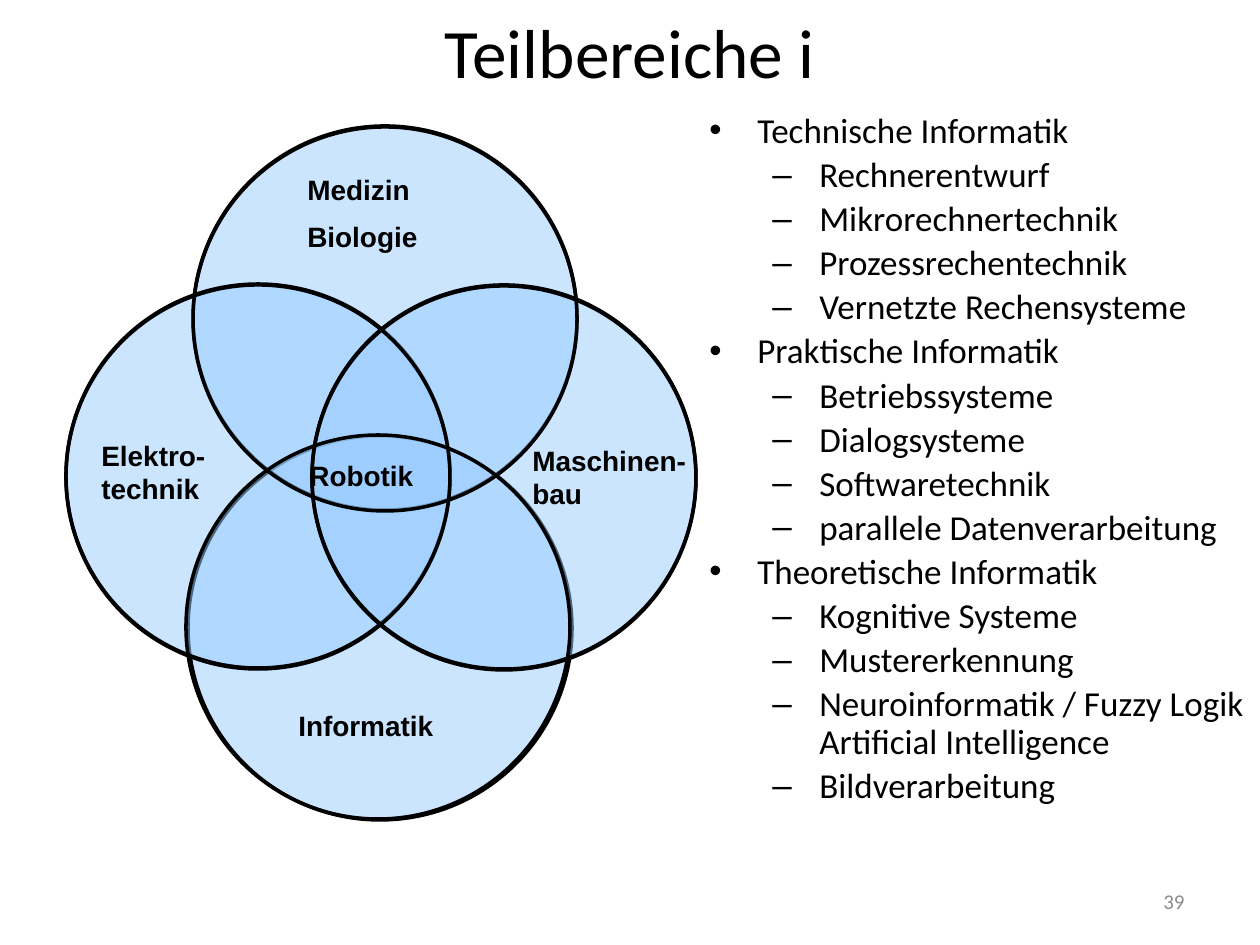
import pptx
import pptx.util
import pptx.dml.color
import pptx.enum.shapes
import pptx.enum.text
import lxml.etree

PX = 914400 // 126
ALIGN = pptx.enum.text.PP_ALIGN
ANCHOR = pptx.enum.text.MSO_ANCHOR
DRAWING = "{http://schemas.openxmlformats.org/drawingml/2006/main}"


def color(value):
    return pptx.dml.color.RGBColor.from_string(value)


def write(box, paragraphs, anchor=ANCHOR.TOP, align=ALIGN.LEFT, space=0, bullets=None, **font):
    """Fill a box with (level, text) paragraphs in one font."""
    frame = box.text_frame
    frame.word_wrap = True
    frame.vertical_anchor = anchor
    for index, (level, text) in enumerate(paragraphs):
        para = frame.add_paragraph() if index else frame.paragraphs[0]
        para.text = text
        para.alignment = align
        para.space_before = pptx.util.Pt(space if index else 0)
        if bullets:
            symbol, left, hanging = bullets[level]
            para.level = level
            para.line_spacing = 0.9
            properties = para._p.get_or_add_pPr()
            properties.set("marL", str(left * PX))
            properties.set("indent", str(-hanging * PX))
            lxml.etree.SubElement(properties, DRAWING + "buFont", typeface="Arial")
            lxml.etree.SubElement(properties, DRAWING + "buChar", char=symbol)
        for span in para.runs:
            span.font.color.rgb = color(font.get("ink", "000000"))
            for name, value in font.items():
                if name != "ink":
                    setattr(span.font, name, value)


deck = pptx.Presentation()
deck.slide_width, deck.slide_height = pptx.util.Inches(10), pptx.util.Inches(7.5)
page = deck.slides.add_slide(deck.slide_layouts[5])

title = page.shapes.title
title.left, title.top, title.width, title.height = 84 * PX, 9 * PX, 1092 * PX, 84 * PX
write(title, [(0, "Teilbereiche i")], ANCHOR.MIDDLE, ALIGN.CENTER,
      name="Calibri", size=pptx.util.Pt(39.6))

number = page.shapes.add_textbox(903 * PX, 876 * PX, 294 * PX, 50 * PX)
write(number, [(0, "39")], ANCHOR.MIDDLE, ALIGN.RIGHT,
      name="Calibri", size=pptx.util.Pt(12), ink="8C8C8C")

fields = {
    "Technische Informatik": [
        "Rechnerentwurf", "Mikrorechnertechnik", "Prozessrechentechnik",
        "Vernetzte Rechensysteme"],
    "Praktische Informatik": [
        "Betriebssysteme", "Dialogsysteme", "Softwaretechnik",
        "parallele Datenverarbeitung"],
    "Theoretische Informatik": [
        "Kognitive Systeme", "Mustererkennung",
        "Neuroinformatik / Fuzzy Logik\vArtificial Intelligence", "Bildverarbeitung"],
}
outline = []
for field, topics in fields.items():
    outline.append((0, field))
    outline += [(1, topic) for topic in topics]
body = page.shapes.add_textbox(697 * PX, 107 * PX, 582 * PX, 794 * PX)
write(body, outline, space=3.6, bullets=[("•", 48, 48), ("–", 110, 47)],
      name="Calibri", size=pptx.util.Pt(20))

# Tinted discs lie below the labels, plain rings above them
DIAMETER = 384
discs = [(188, 436), (193, 126), (66, 284), (312, 285)]
rings = [(312, 286), (186, 435), (66, 285), (193, 127)]
labels = [
    (89, 432, 168, ["Elektro-technik"]),
    (295, 166, 174, ["Medizin", "Biologie"]),
    (520, 437, 210, ["Maschinen-bau"]),
    (286, 702, 189, ["Informatik"]),
    (297, 452, 168, ["Robotik"]),
]
for filled, circles in ((True, discs), (False, rings)):
    for left, top in circles:
        circle = page.shapes.add_shape(
            pptx.enum.shapes.MSO_SHAPE.OVAL,
            left * PX, top * PX, DIAMETER * PX, DIAMETER * PX)
        circle.shadow.inherit = False
        circle.line.color.rgb = color("000000")
        circle.line.width = pptx.util.Pt(2)
        if filled:
            circle.fill.solid()
            circle.fill.fore_color.rgb = color("99CCFF")
            tint = circle.fill._xPr.find(f"{DRAWING}solidFill/{DRAWING}srgbClr")
            lxml.etree.SubElement(tint, DRAWING + "alpha", val="50000")
        else:
            circle.fill.background()
    if filled:
        for left, top, width, lines in labels:
            label = page.shapes.add_textbox(left * PX, top * PX, width * PX, 47 * PX)
            write(label, [(0, line) for line in lines], space=8,
                  name="Arial", size=pptx.util.Pt(16), bold=True)

deck.save("out.pptx")
